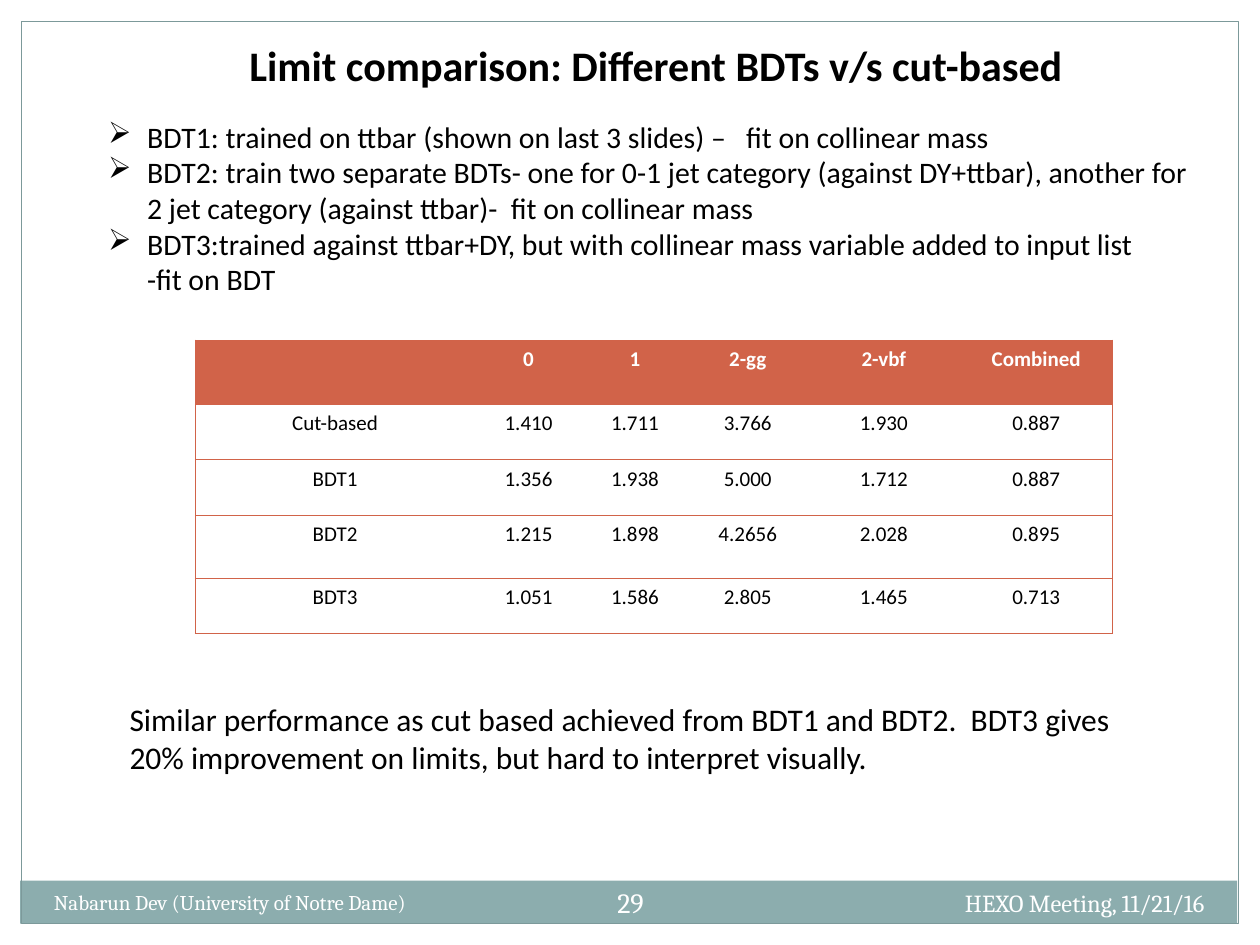
"""Build the slide comparing limits from different BDTs with the cut-based analysis."""
from lxml import etree
from pptx import Presentation
from pptx.dml.color import RGBColor
from pptx.enum.shapes import MSO_SHAPE
from pptx.enum.text import MSO_ANCHOR, MSO_AUTO_SIZE, PP_ALIGN
from pptx.oxml.ns import qn
from pptx.util import Inches, Pt

LEFT, CENTER, RIGHT = PP_ALIGN.LEFT, PP_ALIGN.CENTER, PP_ALIGN.RIGHT
TOP, MIDDLE = MSO_ANCHOR.TOP, MSO_ANCHOR.MIDDLE
RECTANGLE = MSO_SHAPE.RECTANGLE
NO_AUTOFIT = MSO_AUTO_SIZE.NONE

THEME = {
    "body_font": "Calibri", "footer_font": "Cambria",
    "text": "000000", "light": "FFFFFF", "accent": "D16349",
    "band": "8CADAE", "frame": "7C999A",
    "title": 24, "bullets": 17, "summary": 18, "table": 12,
    "author": 12, "meeting": 14, "number": 16, "line": 0.75,
}

TITLE = "Limit comparison: Different BDTs v/s cut-based"
BULLETS = [
    ("➢", "BDT1: trained on ttbar (shown on last 3 slides) –   fit on collinear mass"),
    ("➢", "BDT2: train two separate BDTs- one for 0-1 jet category (against DY+ttbar), "
          "another for 2 jet category (against ttbar)-  fit on collinear mass"),
    ("➢", "BDT3:trained against ttbar+DY, but with collinear mass variable added to input list"),
    (None, "-fit on BDT"),
]
SUMMARY = ("Similar performance as cut based achieved from BDT1 and BDT2.  BDT3 gives "
           "20% improvement on limits, but hard to interpret visually.")
LIMITS = [
    ("", "0", "1", "2-gg", "2-vbf", "Combined"),
    ("Cut-based", "1.410", "1.711", "3.766", "1.930", "0.887"),
    ("BDT1", "1.356", "1.938", "5.000", "1.712", "0.887"),
    ("BDT2", "1.215", "1.898", "4.2656", "2.028", "0.895"),
    ("BDT3", "1.051", "1.586", "2.805", "1.465", "0.713"),
]
COLUMN_WIDTHS = (2.22, 0.85, 0.84, 0.95, 1.21, 1.21)
ROW_HEIGHTS = (0.51, 0.44, 0.44, 0.5, 0.44)
FOOTERS = [
    ("HEXO Meeting, 11/21/16", (6.33, 7, 3.33, 0.4), "meeting", RIGHT, TOP),
    ("Nabarun Dev (University of Notre Dame)", (0.33, 7.01, 3.92, 0.4), "author", LEFT, TOP),
    ("29", (4.67, 6.92, 0.67, 0.48), "number", CENTER, MIDDLE),
]


def color(name):
    return RGBColor.from_string(THEME[name])


def box_lengths(box):
    return [Inches(value) for value in box]


def add_run(paragraph, text, size, ink="text", font="body_font", bold=False, align=LEFT):
    paragraph.alignment = align
    run = paragraph.add_run()
    run.text = text
    run.font.name = THEME[font]
    run.font.size = Pt(THEME[size])
    run.font.bold = bold
    run.font.color.rgb = color(ink)


def add_rectangle(slide, box, fill=None, line=None):
    shape = slide.shapes.add_shape(RECTANGLE, *box_lengths(box))
    shape.shadow.inherit = False
    if fill:
        shape.fill.solid()
        shape.fill.fore_color.rgb = color(fill)
    else:
        shape.fill.background()
    if line:
        shape.line.color.rgb = color(line)
        shape.line.width = Pt(THEME["line"])
    else:
        shape.line.fill.background()


def add_text_box(slide, box, anchor=TOP):
    frame = slide.shapes.add_textbox(*box_lengths(box)).text_frame
    frame.word_wrap = True
    frame.vertical_anchor = anchor
    return frame


def add_title(slide):
    title = slide.shapes.title
    title.left, title.top, title.width, title.height = box_lengths((1.88, 0.26, 7.26, 0.5))
    frame = title.text_frame
    frame.auto_size = NO_AUTOFIT
    frame.vertical_anchor = TOP
    add_run(frame.paragraphs[0], TITLE, "title", bold=True)


def add_bullets(slide):
    frame = add_text_box(slide, (0.76, 0.89, 8.78, 1.53))
    for index, (bullet, text) in enumerate(BULLETS):
        paragraph = frame.add_paragraph() if index else frame.paragraphs[0]
        properties = paragraph._p.get_or_add_pPr()
        properties.set("marL", str(Inches(0.31)))
        if bullet:
            properties.set("indent", str(-Inches(0.31)))
            etree.SubElement(properties, qn("a:buChar"), char=bullet)
        add_run(paragraph, text, "bullets")


def set_borders(cell, visible):
    properties = cell._tc.get_or_add_tcPr()
    for side in ("lnL", "lnR", "lnT", "lnB"):
        line = etree.SubElement(properties, qn(f"a:{side}"), w=str(Pt(THEME["line"])))
        if side in visible:
            fill = etree.SubElement(line, qn("a:solidFill"))
            etree.SubElement(fill, qn("a:srgbClr"), val=THEME["accent"])
        else:
            etree.SubElement(line, qn("a:noFill"))


def add_limit_table(slide):
    box = (1.55, 2.7, sum(COLUMN_WIDTHS), sum(ROW_HEIGHTS))
    table = slide.shapes.add_table(
        len(LIMITS), len(COLUMN_WIDTHS), *box_lengths(box)).table
    table.horz_banding = False
    for column, width in zip(table.columns, COLUMN_WIDTHS):
        column.width = Inches(width)
    for row_index, (row, height, values) in enumerate(zip(table.rows, ROW_HEIGHTS, LIMITS)):
        row.height = Inches(height)
        header = row_index == 0
        for column_index, (cell, value) in enumerate(zip(row.cells, values)):
            visible = ["lnT", "lnB"]
            if column_index == 0:
                visible.append("lnL")
            if column_index == len(values) - 1:
                visible.append("lnR")
            set_borders(cell, visible)
            if header:
                cell.fill.solid()
                cell.fill.fore_color.rgb = color("accent")
            else:
                cell.fill.background()
            if value:
                add_run(cell.text_frame.paragraphs[0], value, "table",
                        "light" if header else "text", bold=header, align=CENTER)


def main():
    presentation = Presentation()
    presentation.slide_width, presentation.slide_height = Inches(10), Inches(7.5)
    slide = presentation.slides.add_slide(presentation.slide_layouts[5])
    for box in ((0, 0, 10, 0.17), (9.83, 0, 0.17, 7.5), (0, 0, 0.17, 7.5)):
        add_rectangle(slide, box, fill="light")
    add_rectangle(slide, (0.16, 6.99, 9.66, 0.34), fill="band")
    add_rectangle(slide, (0.17, 0.17, 9.66, 7.16), line="frame")
    add_limit_table(slide)
    add_title(slide)
    add_bullets(slide)
    summary = add_text_box(slide, (0.93, 5.51, 8.2, 0.71))
    add_run(summary.paragraphs[0], SUMMARY, "summary")
    for text, box, size, align, anchor in FOOTERS:
        frame = add_text_box(slide, box, anchor)
        add_run(frame.paragraphs[0], text, size, "light", "footer_font", align=align)
    presentation.save("out.pptx")


if __name__ == "__main__":
    main()
